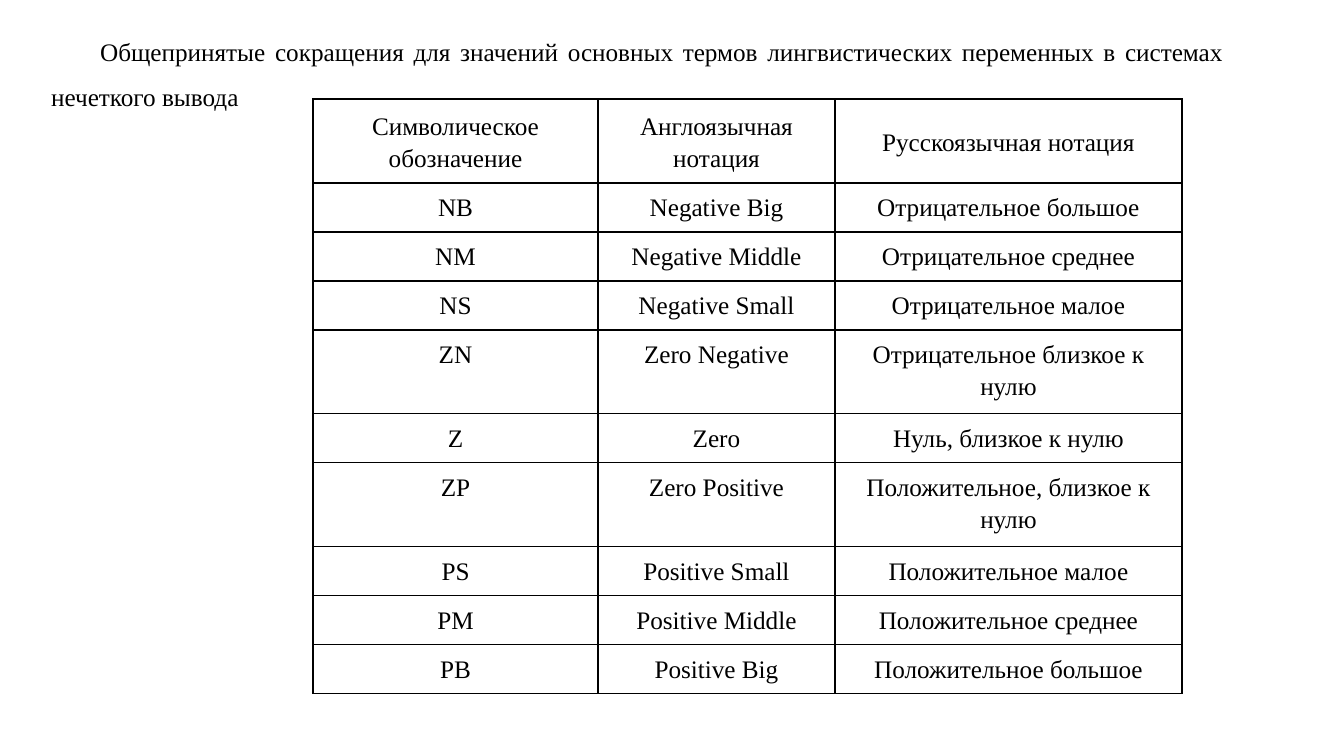
from typing import NamedTuple

import pptx
import pptx.dml.color
import pptx.enum.text
import pptx.oxml
import pptx.oxml.ns
import pptx.util
from lxml import etree

EMU_PER_PX = 9071
COLORS = {"ink": "000000"}
FONT = "Times New Roman"
ALIGN = pptx.enum.text.PP_ALIGN
ANCHOR = pptx.enum.text.MSO_ANCHOR

CELL_INSET = 7
LINE_HEIGHT = 35
COLUMN_WIDTHS = (285, 237, 347)
TABLE_LEFT, TABLE_TOP = 313, 99


class Term(NamedTuple):
    symbol: str
    english: str
    russian: str
    lines: int = 1


HEADING = Term("Символическое обозначение", "Англоязычная нотация",
               "Русскоязычная нотация", lines=2)
TERMS = (
    Term("NB", "Negative Big", "Отрицательное большое"),
    Term("NM", "Negative Middle", "Отрицательное среднее"),
    Term("NS", "Negative Small", "Отрицательное малое"),
    Term("ZN", "Zero Negative", "Отрицательное близкое к нулю", lines=2),
    Term("Z", "Zero", "Нуль, близкое к нулю"),
    Term("ZP", "Zero Positive", "Положительное, близкое к нулю", lines=2),
    Term("PS", "Positive Small", "Положительное малое"),
    Term("PM", "Positive Middle", "Положительное среднее"),
    Term("PB", "Positive Big", "Положительное большое"),
)


def px(length: int) -> pptx.util.Emu:
    return pptx.util.Emu(length * EMU_PER_PX)


def write(frame, text: str, *, align=ALIGN.CENTER, spacing: float = 1.15,
          size: int = 18, color: str = "ink", indent: int = 0) -> None:
    frame.word_wrap = True
    paragraph = frame.paragraphs[0]
    paragraph.alignment = align
    paragraph.line_spacing = spacing
    if indent:
        properties = paragraph._p.get_or_add_pPr()
        properties.set("marL", "0")
        properties.set("indent", str(px(indent)))
    run = paragraph.add_run()
    run.text = text
    run.font.name = FONT
    run.font.size = pptx.util.Pt(size)
    run.font.bold = False
    run.font.color.rgb = pptx.dml.color.RGBColor.from_string(COLORS[color])


def add_borders(cell, color: str = "ink", width: int = 1) -> None:
    properties = cell._tc.get_or_add_tcPr()
    for side in ("lnL", "lnR", "lnT", "lnB"):
        line = etree.SubElement(properties, pptx.oxml.ns.qn(f"a:{side}"),
                                w=str(pptx.util.Pt(width)))
        fill = etree.SubElement(line, pptx.oxml.ns.qn("a:solidFill"))
        etree.SubElement(fill, pptx.oxml.ns.qn("a:srgbClr"), val=COLORS[color])


def add_heading(slide) -> None:
    heading = slide.shapes.title
    heading.left, heading.top = px(41), px(16)
    heading.width, heading.height = px(1193), px(102)
    frame = heading.text_frame
    frame.vertical_anchor = ANCHOR.TOP
    frame.auto_size = pptx.enum.text.MSO_AUTO_SIZE.SHAPE_TO_FIT_TEXT
    write(frame, "Общепринятые сокращения для значений основных термов "
          "лингвистических переменных в системах нечеткого вывода",
          align=ALIGN.JUSTIFY, spacing=1.5, indent=49)


def add_terms_table(slide) -> None:
    rows = (HEADING, *TERMS)
    heights = [2 * CELL_INSET + LINE_HEIGHT * term.lines for term in rows]
    table = slide.shapes.add_table(
        len(rows), len(COLUMN_WIDTHS), px(TABLE_LEFT), px(TABLE_TOP),
        px(sum(COLUMN_WIDTHS)), px(sum(heights))).table
    table.first_row = table.horz_banding = False
    for column, width in zip(table.columns, COLUMN_WIDTHS):
        column.width = px(width)
    for row, term, height in zip(table.rows, rows, heights):
        row.height = px(height)
        for cell, text in zip(row.cells, (term.symbol, term.english, term.russian)):
            cell.margin_left = cell.margin_right = px(CELL_INSET)
            cell.margin_top = cell.margin_bottom = px(CELL_INSET)
            cell.vertical_anchor = ANCHOR.MIDDLE if term is HEADING else ANCHOR.TOP
            add_borders(cell)
            cell.fill.background()
            write(cell.text_frame, text)


def main() -> None:
    deck = pptx.Presentation()
    deck.slide_width, deck.slide_height = px(1344), px(756)
    slide = deck.slides.add_slide(deck.slide_layouts.get_by_name("Title Only"))
    add_heading(slide)
    add_terms_table(slide)
    deck.save("out.pptx")


if __name__ == "__main__":
    main()
